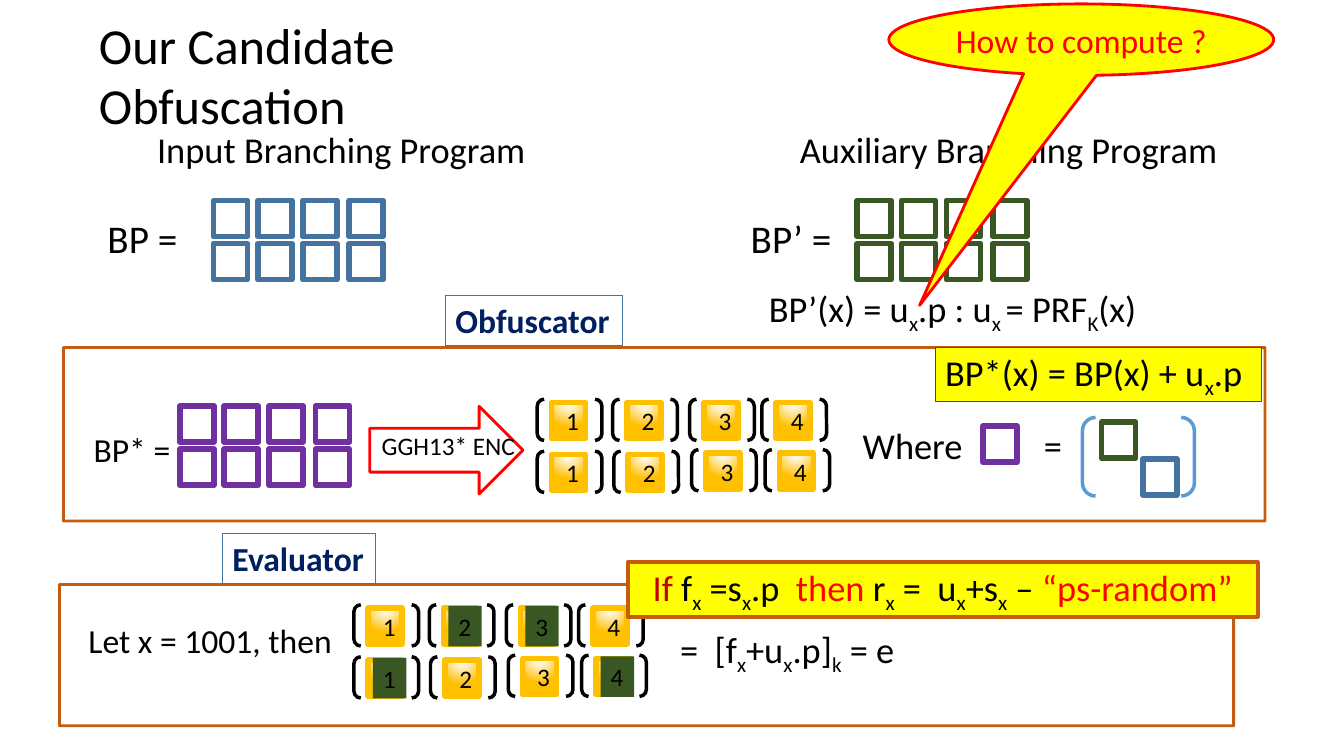
"""Build the slide showing a candidate obfuscation of branching programs."""
from lxml import etree
from pptx import Presentation
from pptx.dml.color import RGBColor
from pptx.enum.shapes import MSO_SHAPE
from pptx.enum.text import MSO_ANCHOR, PP_ALIGN
from pptx.oxml import parse_xml
from pptx.util import Cm, Pt

RECTANGLE, ROUNDED = MSO_SHAPE.RECTANGLE, MSO_SHAPE.ROUNDED_RECTANGLE
BRACKETS, ARROW = MSO_SHAPE.DOUBLE_BRACKET, MSO_SHAPE.RIGHT_ARROW
CALLOUT = MSO_SHAPE.OVAL_CALLOUT
LEFT, CENTER = PP_ALIGN.LEFT, PP_ALIGN.CENTER
TOP, MIDDLE = MSO_ANCHOR.TOP, MSO_ANCHOR.MIDDLE
FONT = "Calibri"
DRAWING = "http://schemas.openxmlformats.org/drawingml/2006/main"

COLORS = {
    "black": "000000", "white": "FFFFFF", "navy": "002060", "blue": "43739E",
    "sky": "5B9BD5", "green": "385723", "purple": "7030A0", "gold": "FFC000",
    "yellow": "FFFF00", "orange": "C55A11", "red": "FF0000", "crimson": "C00000",
}

# Text between tildes is set as a subscript.
TITLE = ("Our Candidate Obfuscation", (2.24, 0.97, 14.45, 1.8))
LABELS = [
    ("BP =", (2.46, 5.26, 2.51, 1.45), 28),
    ("Input Branching Program", (3.71, 3.07, 10.11, 1.37), 26),
    ("BP’ =", (18.67, 5.26, 2.79, 1.45), 28),
    ("Auxiliary Branching Program", (19.91, 3.07, 11.51, 1.37), 26),
    ("BP* =", (2.11, 10.67, 2.67, 1.27), 24),
    ("GGH13* ENC", (9.37, 10.72, 3.91, 1.02), 18),
    ("Where", (21.49, 10.52, 3.25, 1.37), 26),
    ("=", (26.06, 10.52, 0.97, 1.37), 26),
    ("=  [f~x~+u~x~.p]~k~ = e", (16.89, 15.75, 6.07, 1.37), 26),
]
AUXILIARY_RULE = ("BP’(x) = u~x~.p : u~x ~= PRF~K~(x) ", (16.59, 7.14, 15.04, 1.37))
INPUT_CHOICE = ("Let x = 1001, then", (1.98, 15.49, 6.71, 2.31))
INPUT_BITS = "1001"
TABS = [
    ("Obfuscator", (11.23, 7.44, 4.45, 1.27)),
    ("Evaluator", (5.61, 13.44, 3.86, 1.27)),
]
PANELS = [(1.6, 8.76, 30.28, 4.37), (1.5, 14.73, 29.59, 3.56)]
SUM_RULE = ("BP*(x) = BP(x) + u~x~.p", (23.57, 8.76, 8.23, 1.37))
RANDOM_RULE = [
    ("If ", "crimson"), ("f~x~ =s~x~.p  ", "black"), ("then ", "red"),
    ("r~x~ =  u~x~+s~x~ – ", "black"), ("“ps-random”", "red"),
]
RANDOM_BOX = (15.82, 14.17, 15.88, 1.37)
QUESTION = ("How to compute ?", (22.4, 0.1, 9.7, 1.8))

SQUARE = (0.86, 0.91)
MATRIX_COLUMNS, MATRIX_PITCH = (0, 1.12, 2.25, 3.42), 1.09
MATRICES = [("blue", 5.38, 5.05), ("green", 21.6, 5.05), ("purple", 4.53, 10.23)]
SINGLE_SQUARES = [("purple", 24.77, 10.74), ("blue", 28.8, 11.56), ("green", 27.76, 10.64)]
ENCODED_ROWS = [
    [(0, 0), (1.9, 0), (3.84, 0), (5.66, 0)],
    [(0, 1.31), (1.93, 1.31), (3.89, 1.27), (5.74, 1.27)],
]

presentation = Presentation()
presentation.slide_width, presentation.slide_height = Cm(33.87), Cm(19.05)
slide = presentation.slides.add_slide(presentation.slide_layouts[5])


def rgb(name):
    """Return the named colour."""
    return RGBColor.from_string(COLORS[name])


def write(shape, text, size=26, color="black", bold=False, align=LEFT, anchor=MIDDLE, wrap=False):
    """Write plain text or (text, colour) parts into a shape."""
    frame = shape.text_frame
    frame.word_wrap, frame.vertical_anchor = wrap, anchor
    paragraph = frame.paragraphs[0]
    paragraph.alignment = align
    parts = [(text, color)] if isinstance(text, str) else text
    for part, part_color in parts:
        for index, piece in enumerate(part.split("~")):
            if not piece:
                continue
            run = paragraph.add_run()
            run.text = piece
            run.font.name, run.font.size, run.font.bold = FONT, Pt(size), bold
            run.font.color.rgb = rgb(part_color)
            if index % 2:
                run.font._element.set("baseline", "-25000")


def add_label(text, box, **style):
    """Add a text box."""
    write(slide.shapes.add_textbox(*map(Cm, box)), text, **style)


def add_box(kind, box, fill=None, line=None, width=1):
    """Add a preset shape with an optional fill and outline."""
    shape = slide.shapes.add_shape(kind, *map(Cm, box))
    shape.shadow.inherit = False
    if fill:
        shape.fill.solid()
        shape.fill.fore_color.rgb = rgb(fill)
    else:
        shape.fill.background()
    if line:
        shape.line.color.rgb = rgb(line)
        shape.line.width = Pt(width)
    else:
        shape.line.fill.background()
    return shape


def add_glow(shape):
    """Give a shape a white glow that fades to gold."""
    stops = "".join(
        f'<a:gs pos="{position}"><a:srgbClr val="{COLORS[name]}"/></a:gs>'
        for position, name in [(0, "white"), (11000, "white"), (100000, "gold")])
    gradient = parse_xml(
        f'<a:gradFill xmlns:a="{DRAWING}" rotWithShape="1"><a:gsLst>{stops}</a:gsLst>'
        '<a:path path="circle"><a:fillToRect l="50000" t="-80000" r="50000" b="180000"/>'
        '</a:path></a:gradFill>')
    properties = shape._element.spPr
    properties.replace(properties.find(etree.QName(DRAWING, "noFill").text), gradient)


def add_matrix(color, left, top):
    """Add two rows of four outlined squares."""
    for row in range(2):
        for offset in MATRIX_COLUMNS:
            add_box(RECTANGLE, (left + offset, top + row * MATRIX_PITCH, *SQUARE), line=color, width=4)


def add_encoding(left, top, bits=None):
    """Add bracketed numbered cells, darkening those that the bits leave out."""
    for row, offsets in enumerate(ENCODED_ROWS):
        for column, (right, down) in enumerate(offsets):
            x, y = left + right, top + down
            add_glow(add_box(RECTANGLE, (x + 0.36, y + 0.08, *SQUARE), line="gold", width=4))
            add_box(BRACKETS, (x, y, 1.63, 1.04), line="black", width=2.5)
            unused = bits is not None and int(bits[column]) == row
            digit = add_box(RECTANGLE, (x + 0.48, y + 0.03, 0.84, 1.02), fill="green" if unused else None)
            write(digit, str(column + 1), size=18)


def main():
    """Place every part of the slide and save it."""
    title, title_box = TITLE
    heading = slide.shapes.title
    heading.left, heading.top, heading.width, heading.height = map(Cm, title_box)
    write(heading, title, size=36)

    for matrix in MATRICES:
        add_matrix(*matrix)
    add_encoding(13.54, 10.06)
    add_encoding(8.92, 15.24, INPUT_BITS)
    for panel in PANELS:
        add_box(ROUNDED, panel, line="orange", width=2).adjustments[0] = 0.002
    for text, box in TABS:
        write(add_box(RECTANGLE, box, line="blue", width=0.75), text, size=24, color="navy", bold=True)

    add_box(ARROW, (9.32, 10.24, 3.86, 2.21), line="red", width=2)
    for color, left, top in SINGLE_SQUARES:
        add_box(RECTANGLE, (left, top, *SQUARE), line=color, width=4)
    add_box(BRACKETS, (27.28, 10.52, 2.82, 1.98), line="sky", width=2.5)

    for text, box, size in LABELS:
        add_label(text, box, size=size)
    add_label(*AUXILIARY_RULE, align=CENTER, wrap=True)
    add_label(*INPUT_CHOICE, size=24, anchor=TOP)

    write(add_box(RECTANGLE, RANDOM_BOX, fill="yellow", line="orange", width=2.75), RANDOM_RULE, align=CENTER)
    text, box = SUM_RULE
    write(add_box(RECTANGLE, box, fill="yellow", line="red", width=0.75), text)
    text, box = QUESTION
    callout = add_box(CALLOUT, box, fill="yellow", line="red", width=2)
    callout.adjustments[0], callout.adjustments[1] = -0.42, 3.72
    write(callout, text, size=24, color="red", align=CENTER, wrap=True)

    presentation.save("out.pptx")


if __name__ == "__main__":
    main()
